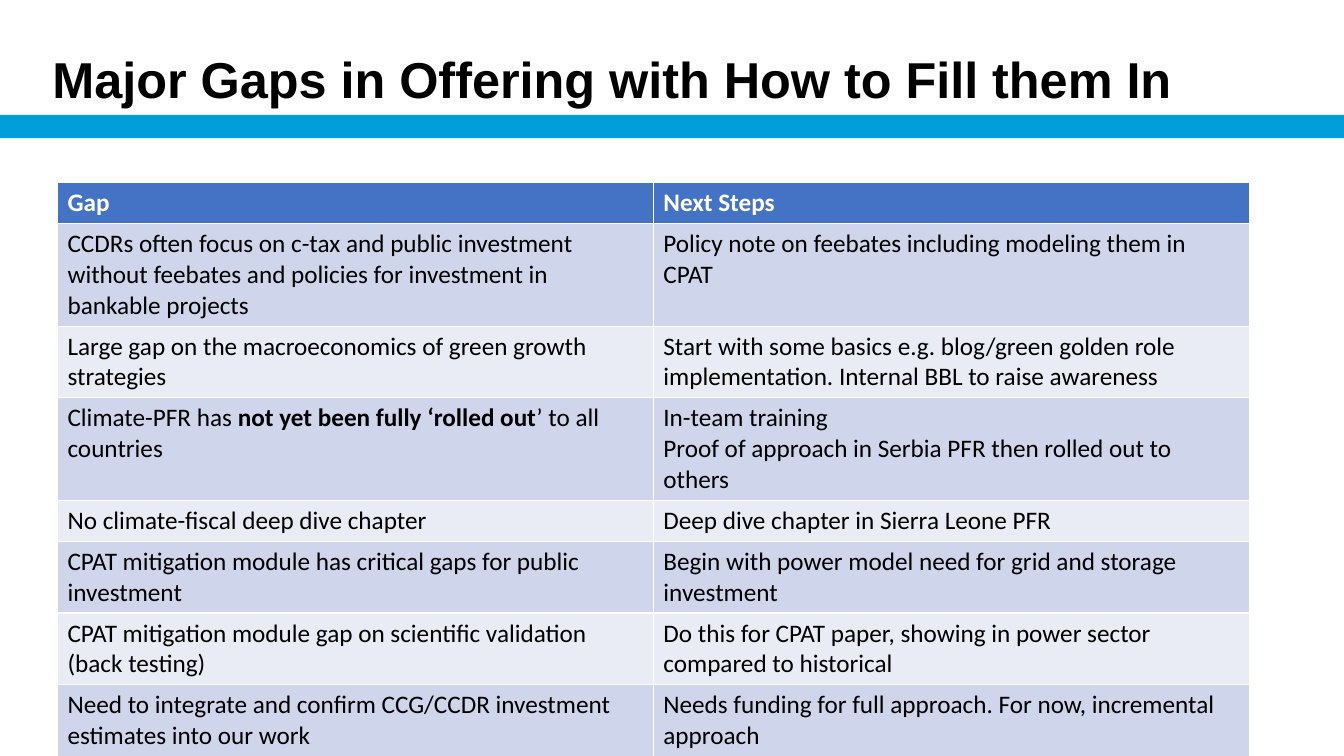
from dataclasses import dataclass
from pptx import Presentation
from pptx.dml.color import RGBColor as RGB
from pptx.enum.shapes import MSO_SHAPE as Shape
from pptx.enum.text import MSO_ANCHOR as Anchor, MSO_AUTO_SIZE as Fit, PP_ALIGN as Align
from pptx.util import Inches, Pt


@dataclass
class Theme:
    black: RGB = RGB(0, 0, 0)
    white: RGB = RGB(255, 255, 255)
    bar: RGB = RGB.from_string("009FDA")
    head: RGB = RGB.from_string("4472C4")
    dark: RGB = RGB.from_string("CFD5EA")
    light: RGB = RGB.from_string("E9EBF5")
    title: Pt = Pt(36)
    body: Pt = Pt(18)


theme = Theme()


def style(run, font, size, color, bold):
    run.font.name = font
    run.font.size = size
    run.font.color.rgb = color
    run.font.bold = bold


# Each cell is a list of paragraphs; ** marks the bold part of a paragraph.
rows = [
    (["Gap"], ["Next Steps"]),
    (["CCDRs often focus on c-tax and public investment without feebates "
      "and policies for investment in bankable projects"],
     ["Policy note on feebates including modeling them in CPAT"]),
    (["Large gap on the macroeconomics of green growth strategies"],
     ["Start with some basics e.g. blog/green golden role implementation. "
      "Internal BBL to raise awareness"]),
    (["Climate-PFR has **not yet been fully ‘rolled out**’ to all countries"],
     ["In-team training",
      "Proof of approach in Serbia PFR then rolled out to others"]),
    (["No climate-fiscal deep dive chapter"],
     ["Deep dive chapter in Sierra Leone PFR"]),
    (["CPAT mitigation module has critical gaps for public investment"],
     ["Begin with power model need for grid and storage investment"]),
    (["CPAT mitigation module gap on scientific validation (back testing)"],
     ["Do this for CPAT paper, showing in power sector compared to historical"]),
    (["Need to integrate and confirm CCG/CCDR investment estimates into our work"],
     ["Needs funding for full approach. For now, incremental approach"]),
]

deck = Presentation()
deck.slide_width = Inches(13.33)
deck.slide_height = Inches(7.5)
slide = deck.slides.add_slide(deck.slide_layouts[5])

# Title
title = slide.shapes.title
title.left, title.top = Inches(0.42), Inches(0.52)
title.width, title.height = Inches(12.48), Inches(0.63)
frame = title.text_frame
frame.text = "Major Gaps in Offering with How to Fill them In"
frame.auto_size = Fit.NONE
frame.vertical_anchor = Anchor.MIDDLE
para = frame.paragraphs[0]
para.alignment = Align.LEFT
para.line_spacing = 0.8
style(para.runs[0], "Arial", theme.title, theme.black, True)

# Bar under the title
bar = slide.shapes.add_shape(Shape.RECTANGLE, 0, Inches(1.14), Inches(13.35), Inches(0.23))
bar.shadow.inherit = False
bar.fill.solid()
bar.fill.fore_color.rgb = theme.bar
bar.line.fill.background()

# Table of gaps and next steps
high = 0.41
table = slide.shapes.add_table(len(rows), 2, Inches(0.57), Inches(1.81),
                               Inches(11.82), Inches(high * len(rows))).table
for r, row in enumerate(rows):
    table.rows[r].height = Inches(high)
    top = r == 0
    fill = theme.head if top else theme.dark if r % 2 else theme.light
    color = theme.white if top else theme.black
    for c, lines in enumerate(row):
        cell = table.cell(r, c)
        cell.fill.solid()
        cell.fill.fore_color.rgb = fill
        for i, line in enumerate(lines):
            frame = cell.text_frame
            para = frame.add_paragraph() if i else frame.paragraphs[0]
            for n, part in enumerate(line.split("**")):
                run = para.add_run()
                run.text = part
                style(run, "Calibri", theme.body, color, top or n % 2 == 1)

deck.save("out.pptx")
